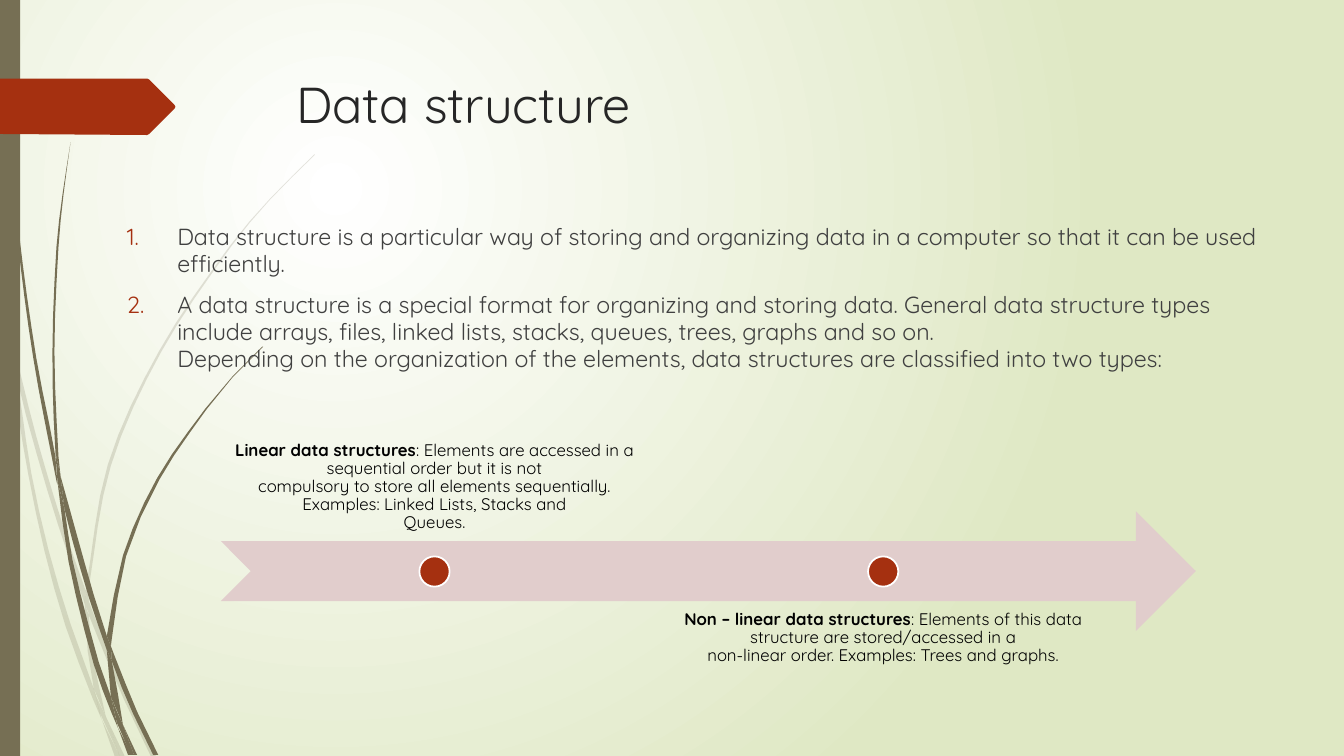
from math import dist

from lxml import etree
from pptx import Presentation
from pptx.dml.color import RGBColor
from pptx.enum.shapes import MSO_SHAPE
from pptx.enum.text import MSO_ANCHOR, PP_ALIGN
from pptx.oxml import parse_xml
from pptx.oxml.ns import nsdecls, qn
from pptx.util import Inches, Pt

RECT, OVAL = MSO_SHAPE.RECTANGLE, MSO_SHAPE.OVAL
ARROW = MSO_SHAPE.NOTCHED_RIGHT_ARROW
TOP, BOTTOM = MSO_ANCHOR.TOP, MSO_ANCHOR.BOTTOM
LEFT, CENTER = PP_ALIGN.LEFT, PP_ALIGN.CENTER

FONT = "Quicksand"
COLORS = {
    "white": "FFFFFF", "lime": "DFE8C4", "olive": "766F54", "rust": "A53010",
    "pink": "E1CDCC", "title": "262626", "body": "404040", "black": "000000",
}

# Each blade of grass is a pair of edges that run from tip to root.
PALE = [
    ("0,2.82 .09,3.22 .11,3.5", "0,2.99 .1,3.44 .11,3.5"),
    (".14,3.45 .36,4.33 .62,5.2 .85,5.86", ".14,3.45 .17,3.76 .36,4.49 .58,5.22 .84,5.99"),
    (".88,5.96 .92,6.07 1.09,6.5 1.27,6.92 1.55,7.51", ".88,6.1 1.05,6.52 1.23,6.94 1.5,7.51"),
    ("1.05,7.11 1.24,7.51", "1.05,7.11 1.19,7.51"),
    (".11,3.5 .17,3.76 .31,4.69 .48,5.45 .7,6.19 .93,6.83 1.01,7.14",
     ".11,3.5 .18,4.1 .28,4.7 .44,5.46 .65,6.21 .92,6.93 1.01,7.14"),
    (".84,5.99 .88,6.1 .91,6.46 1.05,7.11", ".84,5.99 .87,6.46 .93,6.83 1.05,7.11"),
    ("3.12,1.53 2.68,1.97 2.28,2.44 1.58,3.48 1.07,4.61 .85,5.86",
     "3.12,1.54 2.68,1.98 2.29,2.45 1.6,3.49 1.1,4.62 .88,5.84 .88,5.96"),
    ("1.01,7.14 1.19,7.51", "1.01,7.14 1.14,7.51"),
    (".85,5.86 .88,5.96 .88,6.1", ".85,5.86 .84,5.99 .88,6.08"),
    (".93,6.83 .96,6.92 1.05,7.11 1.19,7.51", ".93,6.83 .99,7.07 1.19,7.51"),
]
DARK = [
    (".04,0 .05,.48 .08,1.09 .19,2.32 .36,3.55 .55,4.53 .57,4.81",
     ".03,0 .04,.48 .07,1.1 .17,2.33 .33,3.55 .56,4.77 .57,4.81"),
    (".6,4.72 .93,5.9 1.06,6.31 1.06,6.45", ".6,4.72 .64,5.05 .88,5.92 1.06,6.45"),
    ("1.1,6.41 1.13,6.49 1.36,7.06 1.57,7.49", "1.1,6.41 1.11,6.56 1.32,7.08 1.52,7.49"),
    (".57,4.77 .64,5.05 .72,5.56 .98,6.57 1.1,6.91 1.17,7.22",
     ".57,4.77 .68,5.57 .93,6.59 1.11,7.08 1.17,7.22"),
    (".7,1.41 .63,1.93 .58,2.45 .54,3.49 .58,4.53 .6,4.72",
     ".7,1.41 .62,1.93 .56,2.45 .52,3.49 .55,4.49 .6,4.72"),
    ("1.22,7.19 1.36,7.49", "1.22,7.19 1.33,7.49"),
    (".55,4.49 .6,4.72 .64,5.05", ".55,4.49 .57,4.77 .64,5.05"),
    ("2.6,3.44 2.31,3.73 2.04,4.05 1.56,4.74 1.22,5.51 1.06,6.31",
     "2.61,3.44 2.31,3.74 2.05,4.06 1.58,4.76 1.25,5.52 1.11,6.33 1.1,6.41"),
    ("1.17,7.22 1.31,7.49", "1.17,7.22 1.27,7.49"),
    ("1.06,6.45 1.11,6.56 1.22,7.19", "1.06,6.45 1.1,6.91 1.22,7.19"),
    ("1.06,6.31 1.1,6.41 1.11,6.56", "1.06,6.31 1.06,6.45 1.11,6.56"),
    ("1.1,6.91 1.16,7.06 1.22,7.19 1.33,7.49", "1.1,6.91 1.16,7.17 1.3,7.49"),
]
FLAG = [(0, 0.78), (1.46, 0.78), (1.48, 0.79), (1.73, 1.04), (1.74, 1.06),
        (1.73, 1.08), (1.48, 1.33), (1.46, 1.34), (0, 1.33)]

POINTS = [
    "Data structure is a particular way of storing and organizing data in a computer "
    "so that it can be used efficiently.",
    "A data structure is a special format for organizing and storing data. General data "
    "structure types include arrays, files, linked lists, stacks, queues, trees, graphs "
    "and so on.\nDepending on the organization of the elements, data structures are "
    "classified into two types:",
]
# left, top, anchor, bold lead, rest
KINDS = [
    (2.19, 4.18, BOTTOM, "Linear data structures",
     ": Elements are accessed in a sequential order but it is not\ncompulsory to store all "
     "elements sequentially. Examples: Linked Lists, Stacks and\nQueues."),
    (6.64, 5.97, TOP, "Non – linear data structures",
     ": Elements of this data structure are stored/accessed in a\nnon-linear order. "
     "Examples: Trees and graphs."),
]


def smooth(text):
    """Turn an "x,y x,y" edge into points on a smooth curve through them."""
    pts = [tuple(map(float, pair.split(","))) for pair in text.split()]
    gaps = [dist(a, b) for a, b in zip(pts, pts[1:])]
    last = len(pts) - 1
    slopes = []
    for i in range(last + 1):
        lo, hi = max(i - 1, 0), min(i + 1, last)
        span = sum(gaps[lo:hi])
        slopes.append([(b - a) / span for a, b in zip(pts[lo], pts[hi])])
    curve = [pts[0]]
    for i, gap in enumerate(gaps):
        steps = max(1, round(gap * 3))
        for k in range(1, steps + 1):
            t = k / steps
            curve.append(tuple(
                (2 * t**3 - 3 * t**2 + 1) * a + (3 * t**2 - 2 * t**3) * b
                + gap * ((t**3 - 2 * t**2 + t) * m + (t**3 - t**2) * n)
                for a, b, m, n in zip(pts[i], pts[i + 1], slopes[i], slopes[i + 1])))
    return curve


class Deck:
    """Holds the style and the current slide."""

    def __init__(self):
        self.prs = Presentation()
        self.prs.slide_width, self.prs.slide_height = Inches(13.33), Inches(7.5)
        self.slide = self.prs.slides.add_slide(self.prs.slide_layouts[6])
        self.shapes = self.slide.shapes

    def glow(self, inner, outer):
        """Fill the background with a round gradient."""
        self.slide.background.fill.gradient()
        old = self.slide.element.find(".//" + qn("a:gradFill"))
        stops = "".join(
            f'<a:gs pos="{pos}"><a:srgbClr val="{COLORS[name]}"/></a:gs>'
            for pos, name in ((0, inner), (100000, outer)))
        old.getparent().replace(old, parse_xml(
            f'<a:gradFill {nsdecls("a")} rotWithShape="1"><a:gsLst>{stops}</a:gsLst>'
            '<a:path path="circle"><a:fillToRect l="50000" t="50000" r="100000" b="100000"/>'
            '</a:path></a:gradFill>'))

    def paint(self, shape, color, edge=None, alpha=None):
        shape.shadow.inherit = False
        shape.fill.solid()
        shape.fill.fore_color.rgb = RGBColor.from_string(COLORS[color])
        if alpha:
            tint = shape.element.spPr.find(".//" + qn("a:srgbClr"))
            etree.SubElement(tint, qn("a:alpha"), val=str(alpha * 1000))
        if edge:
            shape.line.color.rgb = RGBColor.from_string(COLORS[edge])
            shape.line.width = Pt(1.25)
        else:
            shape.line.fill.background()

    def shape(self, kind, box, color, edge=None):
        self.paint(self.shapes.add_shape(kind, *map(Inches, box)), color, edge)

    def outline(self, pts, color, alpha=None):
        first, *rest = [(Inches(x), Inches(y)) for x, y in pts]
        form = self.shapes.build_freeform(*first)
        form.add_line_segments(rest)
        self.paint(form.convert_to_shape(), color, alpha=alpha)

    def text(self, box, paras, size, color, anchor=TOP, align=LEFT, pitch=None, inset=0.1,
             number=None):
        """Add a text box; a paragraph is a list of (text, bold) parts."""
        frame = self.shapes.add_textbox(*map(Inches, box)).text_frame
        frame.word_wrap = True
        frame.vertical_anchor = anchor
        frame.margin_left = frame.margin_right = Inches(inset)
        for i, parts in enumerate(paras):
            para = frame.add_paragraph() if i else frame.paragraphs[0]
            if number:
                self.number(para, number)
            if i:
                para.space_before = Pt(10)
            para.alignment = align
            if pitch:
                para.line_spacing = pitch
            font = para.font
            font.name, font.size = FONT, Pt(size)
            font.color.rgb = RGBColor.from_string(COLORS[color])
            for words, bold in parts:
                for j, line in enumerate(words.split("\n")):
                    if j:
                        para.add_line_break()
                    run = para.add_run()
                    run.text = line
                    if bold:
                        run.font.bold = True
        return frame

    def number(self, para, color):
        props = para._p.get_or_add_pPr()
        props.set("marL", str(Inches(0.5)))
        props.set("indent", str(-Inches(0.5)))
        tint = etree.SubElement(props, qn("a:buClr"))
        etree.SubElement(tint, qn("a:srgbClr"), val=COLORS[color])
        etree.SubElement(props, qn("a:buAutoNum"), type="arabicPeriod")


def main():
    deck = Deck()
    deck.glow("white", "lime")
    for blades, alpha in ((PALE, 20), (DARK, None)):
        for one, two in blades:
            deck.outline(smooth(one) + smooth(two)[::-1], "olive", alpha)
    deck.shape(RECT, (0, 0, 0.2, 7.5), "olive")
    deck.outline(FLAG, "rust")

    deck.text((2.84, 0.68, 9.75, 1.4), [[("Data structure", False)]], 36, "title")
    deck.text((1.16, 2.17, 11.72, 1.84), [[(point, False)] for point in POINTS],
              16.6, "body", pitch=0.97, number="rust")

    deck.shape(ARROW, (2.19, 5.07, 9.67, 1.19), "pink")
    wide, dot = 4.24, 0.3
    for left, top, anchor, lead, rest in KINDS:
        frame = deck.text((left, top, wide, 1.19), [[(lead, True), (rest, False)]], 12, "black",
                          anchor, CENTER, 0.9, 0.09)
        frame.margin_top = frame.margin_bottom = Inches(0.09)
        deck.shape(OVAL, (left + (wide - dot) / 2, 5.52, dot, dot), "rust", "white")
    deck.prs.save("out.pptx")


if __name__ == "__main__":
    main()
